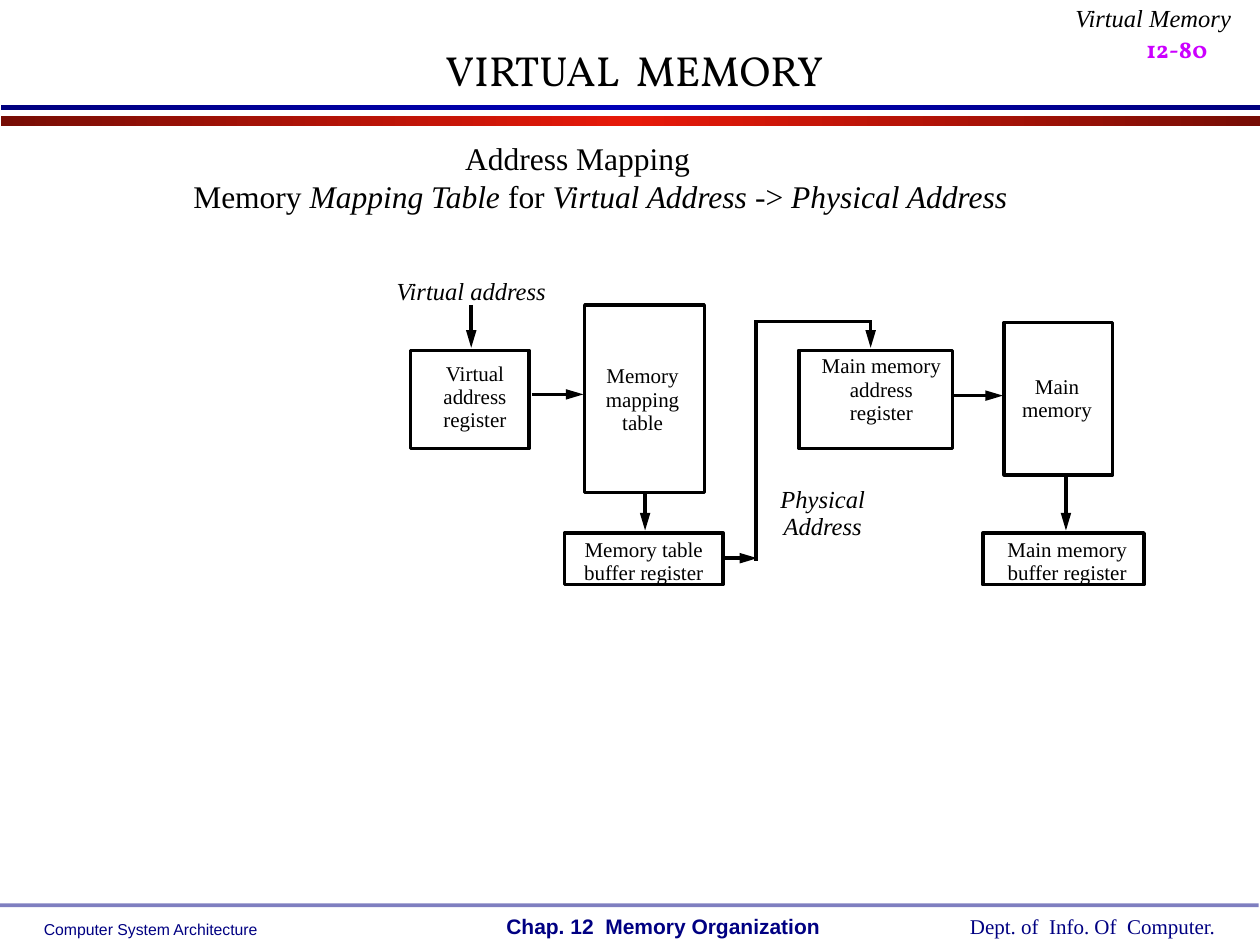
from copy import deepcopy

from pptx import Presentation
from pptx.dml.color import RGBColor
from pptx.enum.shapes import MSO_CONNECTOR as Connector, MSO_SHAPE as Shape
from pptx.enum.text import MSO_ANCHOR as Anchor, PP_ALIGN as Align
from pptx.oxml.ns import qn
from pptx.oxml.xmlchemy import OxmlElement
from pptx.util import Inches, Pt

THEME = {
    "ink": "000000", "navy": "000082", "magenta": "CC00FF",
    "red_bar": ("770D05", "E71909", "770D05"),
    "blue_bar": ("00007F", "0000B6", "00007F"),
    "serif": "Times New Roman", "sans": "Arial", "display": "Vollkorn",
    "title": 24, "heading": 18, "caption": 14, "body": 12, "small": 9, "stroke": 2,
}

# Gradient bars: left, top, width, height, colours
BARS = [
    ((0.01, 0.92, 9.99, 0.08), THEME["red_bar"]),
    ((0.01, 0.83, 9.99, 0.04), THEME["blue_bar"]),
]
FOOTER_RULE = (0, 7.17, 9.99, 0.03)

# Text boxes: place, lines, font values, layout values
BODY = {"name": THEME["serif"], "size": THEME["body"], "color": THEME["ink"]}
CAPTION = {**BODY, "size": THEME["caption"], "italic": True}
FOOTER = {**BODY, "color": THEME["navy"]}
TITLE = {**BODY, "name": THEME["display"], "size": THEME["title"]}
TEXTS = [
    ((0.25, 7.25, 1.9, 0.25), ["Computer System Architecture"],
     {**FOOTER, "name": THEME["sans"], "size": THEME["small"]}, {"wrap": False}),
    ((7.6, 7.2, 2.16, 0.3), ["Dept. of  Info. Of  Computer."], FOOTER, {"wrap": False}),
    ((3.92, 7.2, 2.69, 0.3), ["Chap. 12  Memory Organization"],
     {**FOOTER, "name": THEME["sans"], "bold": True}, {"wrap": False}),
    ((9, 0, 1.08, 0.37), ["12-80"],
     {**TITLE, "color": THEME["magenta"], "bold": True, "baseline": -25000}, {}),
    ((0.58, 0.3, 8.91, 0.51), ["VIRTUAL  MEMORY"], TITLE,
     {"align": Align.CENTER, "anchor": Anchor.MIDDLE}),
    ((2.94, 2.17, 1.6, 0.31), ["Virtual address"], CAPTION,
     {"align": Align.CENTER, "spacing": 0.9}),
    ((6.01, 3.82, 1.04, 0.52), ["Physical", "Address"], CAPTION,
     {"align": Align.CENTER, "spacing": 0.9}),
    ((8.27, 0, 1.6, 0.31), ["Virtual Memory"], CAPTION,
     {"align": Align.RIGHT, "spacing": 0.9, "wrap": False}),
]

# Heading lines: margin side and width, then (text, italic) spans
HEADING_PLACE = (0.76, 1.07, 8.1, 0.66)
HEADING = [
    ("marR", 0.45, [("Address Mapping", False)]),
    ("marL", 0.36, [("Memory ", False), ("Mapping Table", True), (" for ", False),
                    ("Virtual Address", True), (" -> ", False),
                    ("Physical Address", True)]),
]

# Registers and memories: place, label lines, label insets (left, top, right)
NODES = [
    ((3.26, 2.78, 0.94, 0.78), ["Virtual", "address", "register"], (0.08, 0.1, 0)),
    ((4.64, 2.42, 0.95, 1.49), ["Memory", "mapping", "table"], (0, 0.48, 0.03)),
    ((4.48, 4.23, 1.26, 0.41), ["Memory table", "buffer register"], (0, 0.05, 0)),
    ((6.34, 2.78, 1.22, 0.78), ["Main memory", "address", "register"], (0.09, 0.04, 0)),
    ((7.97, 2.56, 0.86, 1.21), ["Main", "memory"], (0, 0.42, 0.02)),
    ((7.8, 4.23, 1.28, 0.41), ["Main memory", "buffer register"], (0.06, 0.05, 0)),
]

# Lines: start, end, has arrowhead
LINES = [
    ((3.74, 2.42), (3.74, 2.76), True),
    ((4.22, 3.13), (4.63, 3.13), True),
    ((5.12, 3.91), (5.12, 4.21), True),
    ((5.75, 4.43), (6.01, 4.43), True),
    ((6, 4.45), (6, 2.54), False),
    ((6, 2.55), (6.92, 2.55), False),
    ((6.91, 2.55), (6.91, 2.76), True),
    ((7.56, 3.14), (7.96, 3.14), True),
    ((8.46, 3.78), (8.46, 4.21), True),
]


def rgb(color):
    return RGBColor.from_string(color)


def add_span(para, text, values):
    span = para.add_run()
    span.text = text
    for key, value in values.items():
        if key == "color":
            span.font.color.rgb = rgb(value)
        elif key == "baseline":
            span._r.get_or_add_rPr().set(key, str(value))
        else:
            setattr(span.font, key, Pt(value) if key == "size" else value)


def add_paras(frame, lines, values, align=Align.LEFT, spacing=None):
    for index, line in enumerate(lines):
        para = frame.add_paragraph() if index else frame.paragraphs[0]
        para.alignment = align
        para.line_spacing = spacing
        add_span(para, line, values)


def add_text(page, place, lines, values, layout):
    frame = page.shapes.add_textbox(*map(Inches, place)).text_frame
    frame.word_wrap = layout.get("wrap", True)
    frame.vertical_anchor = layout.get("anchor", Anchor.TOP)
    add_paras(frame, lines, values, layout.get("align", Align.LEFT), layout.get("spacing"))


def add_heading(page):
    frame = page.shapes.add_textbox(*map(Inches, HEADING_PLACE)).text_frame
    frame.word_wrap = True
    for side in ("left", "right"):
        setattr(frame, f"margin_{side}", Inches(0.07))
    for side in ("top", "bottom"):
        setattr(frame, f"margin_{side}", Inches(0.03))
    for index, (side, width, spans) in enumerate(HEADING):
        para = frame.add_paragraph() if index else frame.paragraphs[0]
        para.alignment = Align.CENTER
        para.line_spacing = 1.01
        para._p.get_or_add_pPr().set(side, str(Inches(width)))
        for text, italic in spans:
            add_span(para, text, {**BODY, "size": THEME["heading"], "italic": italic})


def add_rect(page, place):
    rect = page.shapes.add_shape(Shape.RECTANGLE, *map(Inches, place))
    rect.shadow.inherit = False
    return rect


def add_bar(page, place, colors):
    bar = add_rect(page, place)
    bar.line.fill.background()
    bar.fill.gradient()
    bar.fill.gradient_angle = 0
    stop_list = bar._element.spPr.find(qn("a:gradFill")).find(qn("a:gsLst"))
    stop_list.append(deepcopy(stop_list[-1]))
    for stop, color, position in zip(bar.fill.gradient_stops, colors, (0, 0.5, 1)):
        stop.color.rgb = rgb(color)
        stop.position = position


def add_footer_rule(page):
    rule = add_rect(page, FOOTER_RULE)
    rule.line.fill.background()
    rule.fill.solid()
    rule.fill.fore_color.rgb = rgb(THEME["navy"])
    alpha = OxmlElement("a:alpha")
    alpha.set("val", "50000")
    rule._element.spPr.find(qn("a:solidFill"))[0].append(alpha)


def add_node(page, place, lines, insets):
    node = add_rect(page, place)
    node.fill.background()
    node.line.color.rgb = rgb(THEME["ink"])
    node.line.width = Pt(THEME["stroke"])
    frame = node.text_frame
    frame.word_wrap = True
    frame.vertical_anchor = Anchor.TOP
    for side, inset in zip(("left", "top", "right", "bottom"), (*insets, 0)):
        setattr(frame, f"margin_{side}", Inches(inset))
    add_paras(frame, lines, BODY, Align.CENTER, 0.92)


def add_line(page, start, end, arrow):
    line = page.shapes.add_connector(Connector.STRAIGHT, *map(Inches, start + end))
    line.line.color.rgb = rgb(THEME["ink"])
    line.line.width = Pt(THEME["stroke"])
    if arrow:
        head = OxmlElement("a:tailEnd")
        for key, value in {"type": "triangle", "w": "med", "len": "lg"}.items():
            head.set(key, value)
        line.line._get_or_add_ln().append(head)
    line._element.spPr.append(OxmlElement("a:effectLst"))


def main():
    deck = Presentation()
    deck.slide_width, deck.slide_height = Inches(10), Inches(7.5)
    page = deck.slides.add_slide(deck.slide_layouts[6])
    for bar in BARS:
        add_bar(page, *bar)
    add_footer_rule(page)
    for text in TEXTS:
        add_text(page, *text)
    add_heading(page)
    for node in NODES:
        add_node(page, *node)
    for line in LINES:
        add_line(page, *line)
    deck.save("out.pptx")


if __name__ == "__main__":
    main()
